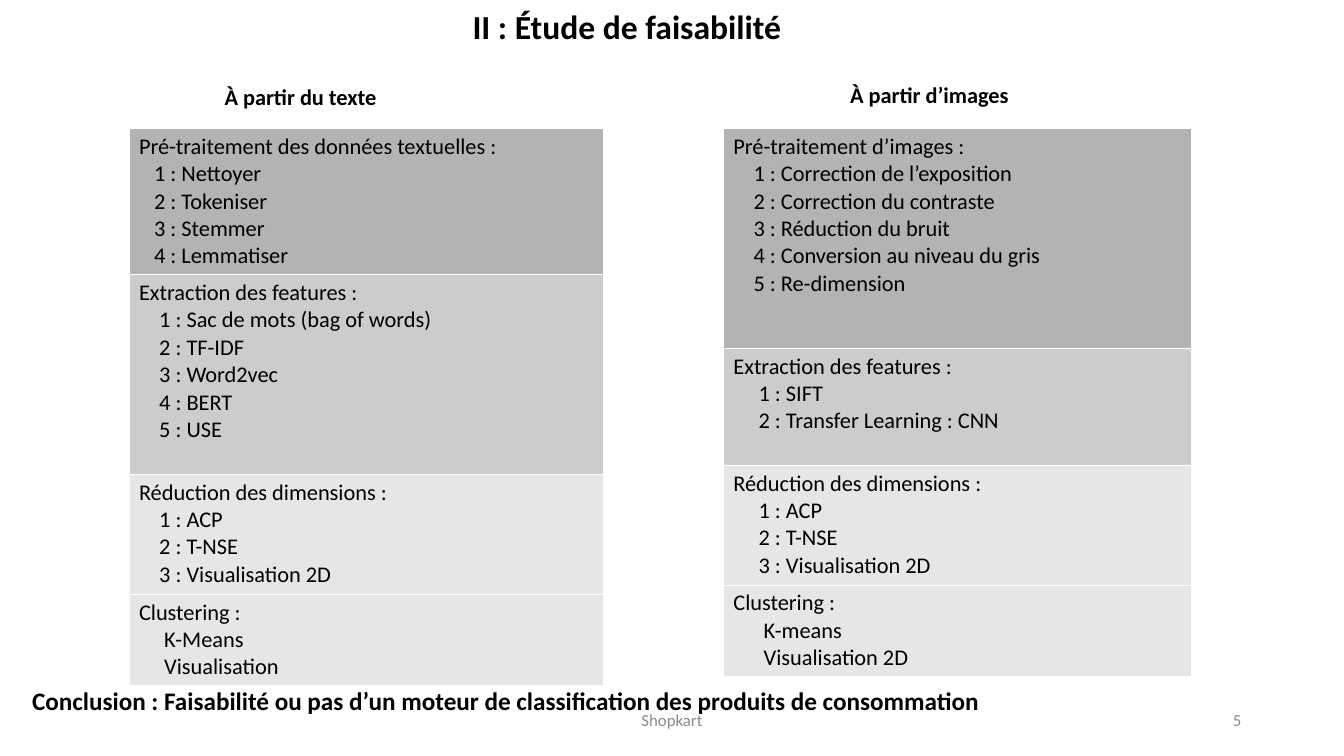
from lxml.etree import SubElement
from pptx import Presentation
from pptx.dml.color import RGBColor
from pptx.enum.text import MSO_ANCHOR, MSO_AUTO_SIZE, PP_ALIGN
from pptx.oxml.ns import qn
from pptx.util import Inches, Pt

FILLS = ["B3B3B3", "CCCCCC", "E6E6E6", "E6E6E6"]
TABLE_TOP = 1.27
STEP = 0.05

TEXT_STAGES = [
    (1.45, 3, True, "Pré-traitement des données textuelles :",
     ["Nettoyer", "Tokeniser", "Stemmer", "Lemmatiser"]),
    (1.98, 4, True, "Extraction des features :",
     ["Sac de mots (bag of words)", "TF-IDF", "Word2vec", "BERT", "USE"]),
    (1.19, 4, True, "Réduction des dimensions :",
     ["ACP", "T-NSE", "Visualisation 2D"]),
    (0.91, 5, False, "Clustering :", ["K-Means", "Visualisation"]),
]
IMAGE_STAGES = [
    (2.18, 4, True, "Pré-traitement d’images :",
     ["Correction de l’exposition", "Correction du contraste",
      "Réduction du bruit", "Conversion au niveau du gris",
      "Re-dimension"]),
    (1.16, 5, True, "Extraction des features :",
     ["SIFT", "Transfer Learning : CNN"]),
    (1.19, 5, True, "Réduction des dimensions :",
     ["ACP", "T-NSE", "Visualisation 2D"]),
    (0.91, 6, False, "Clustering :", ["K-means", "Visualisation 2D"]),
]


def rgb(value):
    return RGBColor.from_string(value)


def style(p, size, bold=False, color="000000", align=PP_ALIGN.LEFT):
    p.alignment = align
    p.font.name = "Calibri"
    p.font.size = Pt(size)
    p.font.bold = bold
    p.font.color.rgb = rgb(color)


def add_title(slide, box, text):
    title = slide.shapes.title
    title.left, title.top, title.width, title.height = map(Inches, box)
    tf = title.text_frame
    tf.text = text
    tf.auto_size = MSO_AUTO_SIZE.NONE
    tf.vertical_anchor = MSO_ANCHOR.TOP
    style(tf.paragraphs[0], 24, True)


def add_label(slide, box, text, size, anchor=MSO_ANCHOR.TOP, **look):
    tf = slide.shapes.add_textbox(*map(Inches, box)).text_frame
    tf.word_wrap = True
    tf.vertical_anchor = anchor
    tf.text = text
    style(tf.paragraphs[0], size, **look)


def add_borders(cell):
    tcPr = cell._tc.get_or_add_tcPr()
    for side in ("a:lnL", "a:lnR", "a:lnT", "a:lnB"):
        line = SubElement(tcPr, qn(side), w=str(Pt(0.06)))
        fill = SubElement(line, qn("a:solidFill"))
        SubElement(fill, qn("a:srgbClr"), val="FFFFFF")


def fill_cell(cell, color, indent, numbered, heading, items):
    add_borders(cell)
    cell.fill.solid()
    cell.fill.fore_color.rgb = rgb(color)
    tf = cell.text_frame
    tf.text = heading
    style(tf.paragraphs[0], 16)
    for number, item in enumerate(items, 1):
        p = tf.add_paragraph()
        p.text = f"{number} : {item}" if numbered else item
        pPr = p._p.get_or_add_pPr()
        pPr.set("marL", str(Inches(indent * STEP)))
        pPr.set("indent", "0")
        style(p, 16)


def add_pipeline(slide, left, width, stages):
    height = sum(stage[0] for stage in stages)
    box = map(Inches, (left, TABLE_TOP, width, height))
    table = slide.shapes.add_table(len(stages), 1, *box).table
    table.first_row = False
    table.horz_banding = False
    for i, (row_height, *content) in enumerate(stages):
        table.rows[i].height = Inches(row_height)
        fill_cell(table.cell(i, 0), FILLS[i], *content)


def add_footer(slide, top, height):
    look = dict(anchor=MSO_ANCHOR.MIDDLE, color="8B8B8B")
    add_label(slide, (4.42, top, 4.5, height), "Shopkart", 12,
              align=PP_ALIGN.CENTER, **look)
    add_label(slide, (9.42, top, 3, height), "5", 12,
              align=PP_ALIGN.RIGHT, **look)


def main():
    prs = Presentation()
    prs.slide_width, prs.slide_height = Inches(13.34), Inches(7.5)
    slide = prs.slides.add_slide(prs.slide_layouts[5])
    add_title(slide, (4.59, 0.01, 5.05, 0.46), "II : Étude de faisabilité")
    add_label(slide, (8.34, 0.76, 3.01, 0.46), "À partir d’images", 16, bold=True)
    add_label(slide, (2.13, 0.78, 3.01, 0.46), "À partir du texte", 16, bold=True)
    add_pipeline(slide, 1.28, 4.71, TEXT_STAGES)
    add_pipeline(slide, 7.18, 4.64, IMAGE_STAGES)
    add_label(slide, (0.22, 6.75, 13.1, 0.46),
              "Conclusion : Faisabilité ou pas d’un moteur de classification "
              "des produits de consommation", 18, bold=True)
    add_footer(slide, 6.95, 0.39)
    prs.save("out.pptx")


if __name__ == "__main__":
    main()
